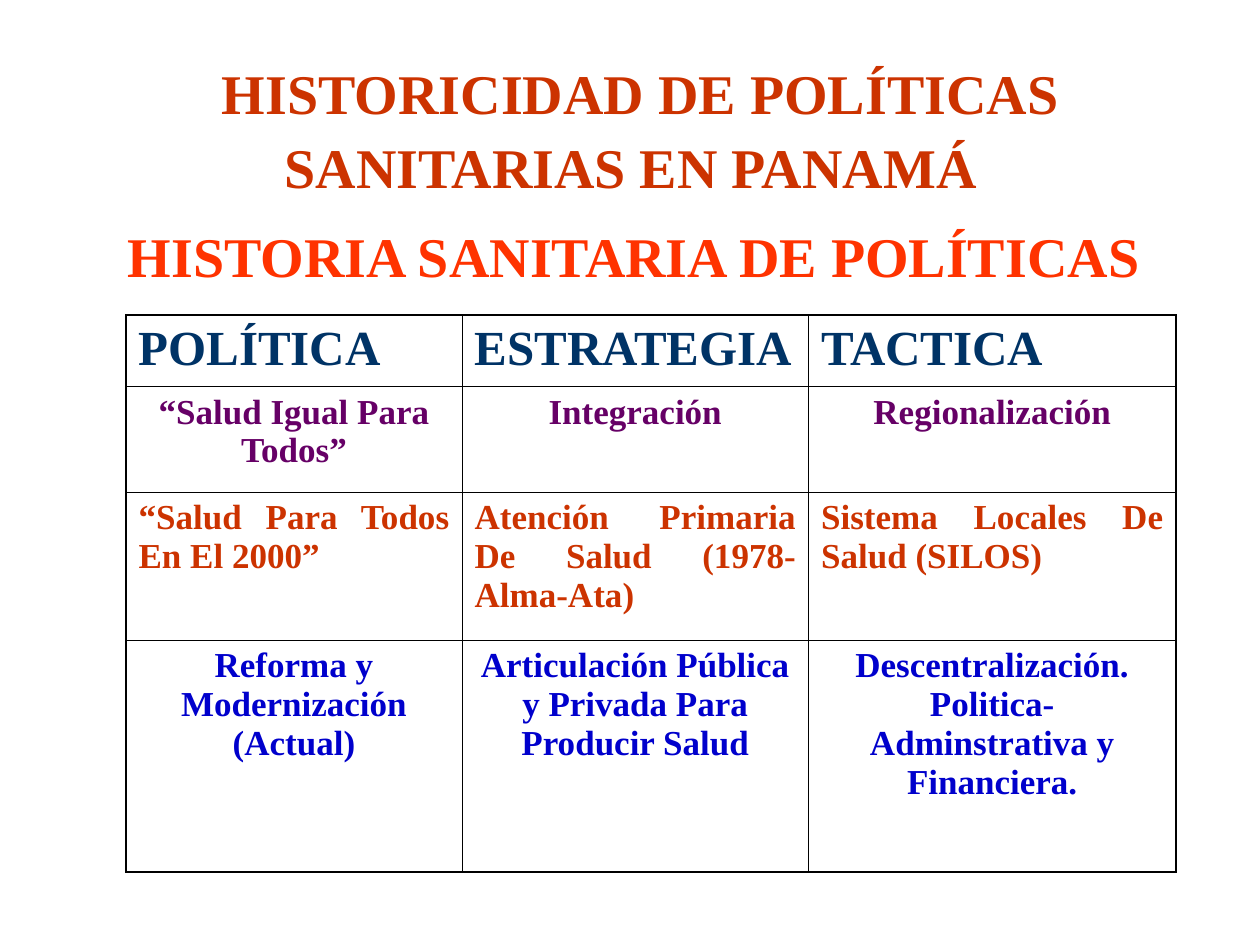
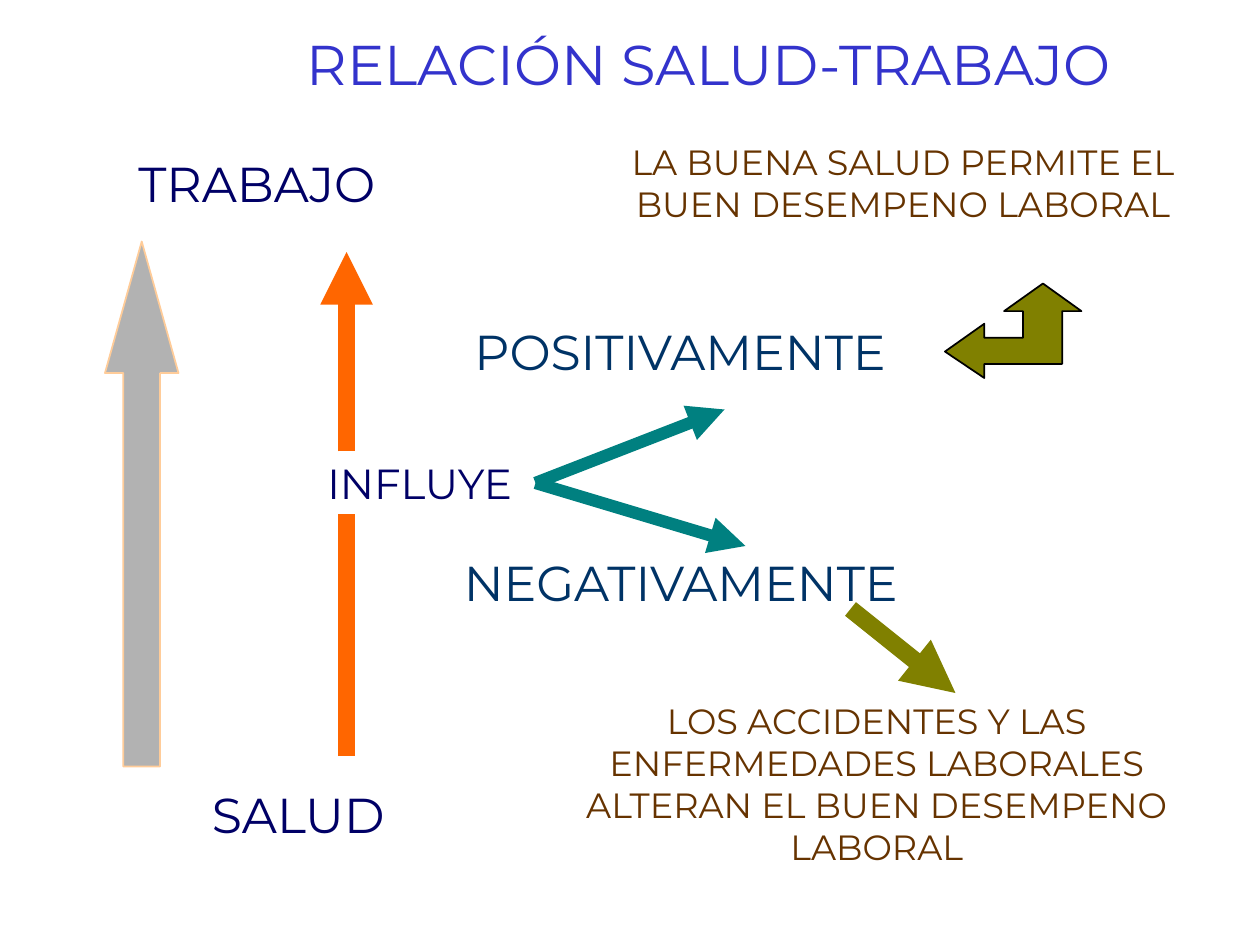
from lxml.etree import SubElement
from pptx import Presentation
from pptx.dml.color import RGBColor
from pptx.enum.shapes import MSO_CONNECTOR, MSO_SHAPE
from pptx.enum.text import MSO_ANCHOR as Anchor, PP_ALIGN as Align
from pptx.oxml.ns import qn
from pptx.util import Pt

SERIF, SANS = "Times New Roman", "Montserrat"
RUST, NAVY, TEAL_BLUE, BROWN = "CC3300", "000066", "003366", "663300"
ORANGE, TEAL, OLIVE, BLACK = "FF6600", "008080", "808000", "000000"
OUTER_BORDER, INNER_BORDER = 1.08, 0.45


def color(value):
    return RGBColor.from_string(value)


class SlideBuilder:
    """Holds the deck, the current slide and the style of its text."""

    def __init__(self):
        self.deck = Presentation()
        self.deck.slide_width, self.deck.slide_height = Pt(720), Pt(540)

    def new_slide(self, font, bold):
        self.font, self.bold = font, bold
        self.shapes = self.deck.slides.add_slide(self.deck.slide_layouts[6]).shapes

    def run(self, para, words, size, tint):
        span = para.add_run()
        span.text = words
        span.font.name, span.font.size, span.font.bold = self.font, Pt(size), self.bold
        span.font.color.rgb = color(tint)

    def text(self, words, left, top, width, height, size, tint,
             align=Align.LEFT, anchor=Anchor.TOP):
        box = self.shapes.add_textbox(Pt(left), Pt(top), Pt(width), Pt(height))
        frame = box.text_frame
        frame.word_wrap, frame.vertical_anchor = True, anchor
        para = frame.paragraphs[0]
        para.alignment = align
        self.run(para, words, size, tint)
        return para

    def title(self, words, left, top, width, height, tint):
        return self.text(words, left, top, width, height, 32, tint,
                         Align.CENTER, Anchor.MIDDLE)

    def line(self, start, end, tint, width, arrow=True):
        line = self.shapes.add_connector(MSO_CONNECTOR.STRAIGHT, *map(Pt, start + end))
        line.line.color.rgb, line.line.width = color(tint), Pt(width)
        properties = line._element.spPr
        if arrow:
            SubElement(properties.find(qn("a:ln")), qn("a:tailEnd"), type="triangle")
        SubElement(properties, qn("a:effectLst"))

    def paint(self, shape, fill, outline):
        shape.shadow.inherit = False
        shape.fill.solid()
        shape.fill.fore_color.rgb = color(fill)
        shape.line.color.rgb, shape.line.width = color(outline), Pt(1)

    def up_arrow(self, left, top, width, height, head, fill, outline):
        arrow = self.shapes.add_shape(MSO_SHAPE.UP_ARROW, Pt(left), Pt(top), Pt(width), Pt(height))
        arrow.adjustments[1] = head
        self.paint(arrow, fill, outline)

    def outline(self, points, fill, edge):
        corners = [(Pt(x), Pt(y)) for x, y in points]
        builder = self.shapes.build_freeform(*corners[0])
        builder.add_line_segments(corners[1:], close=True)
        self.paint(builder.convert_to_shape(), fill, edge)

    def border(self, cell, side, width):
        edge = SubElement(cell._tc.get_or_add_tcPr(), qn(f"a:ln{side}"), w=str(Pt(width)))
        SubElement(SubElement(edge, qn("a:solidFill")), qn("a:srgbClr"), val=BLACK)

    def table(self, left, top, widths, heights, rows):
        """Each row is (size, colour, alignment, words of its cells)."""
        table = self.shapes.add_table(len(heights), len(widths), Pt(left), Pt(top),
                                      Pt(sum(widths)), Pt(sum(heights))).table
        table.first_row = table.horz_banding = False
        for column, width in zip(table.columns, widths):
            column.width = Pt(width)
        for r, (height, (size, tint, align, cells)) in enumerate(zip(heights, rows)):
            table.rows[r].height = Pt(height)
            for c, words in enumerate(cells):
                cell = table.cell(r, c)
                on_edge = {"L": c == 0, "R": c == len(widths) - 1,
                           "T": r == 0, "B": r == len(heights) - 1}
                for side, outer in on_edge.items():
                    self.border(cell, side, OUTER_BORDER if outer else INNER_BORDER)
                cell.fill.background()
                para = cell.text_frame.paragraphs[0]
                para.alignment = align
                self.run(para, words, size, tint)


def policy_history(page):
    page.new_slide(SERIF, bold=True)
    heading = page.title("HISTORICIDAD DE POLÍTICAS SANITARIAS EN PANAMÁ", 60, 42, 612, 72, RUST)
    heading.line_spacing = 0.85
    page.run(heading, " ", 44, BLACK)
    page.text("HISTORIA SANITARIA DE POLÍTICAS", 66, 123, 612, 45, 32, "FF3300")
    page.table(72, 180, [192, 198, 210], [40.75, 60.5, 84.5, 132.5], [
        (28, TEAL_BLUE, Align.LEFT, ["POLÍTICA", "ESTRATEGIA", "TACTICA"]),
        (20, "660066", Align.CENTER,
         ["“Salud Igual Para Todos”", "Integración", "Regionalización"]),
        (20, RUST, Align.JUSTIFY,
         ["“Salud Para Todos En El 2000”", "Atención Primaria De Salud (1978-Alma-Ata)",
          "Sistema Locales De Salud (SILOS)"]),
        (20, "0000CC", Align.CENTER,
         ["Reforma y Modernización (Actual)",
          "Articulación Pública y Privada Para Producir Salud",
          "Descentralización. Politica-Adminstrativa y Financiera."]),
    ])


def health_and_work(page):
    page.new_slide(SANS, bold=False)
    page.title("RELACIÓN SALUD-TRABAJO", 108, 12, 594, 48, "3333CC")
    for words, left, top, width, size, tint in [
        ("SALUD", 114, 445, 138, 28, NAVY),
        ("TRABAJO", 72, 84, 174, 28, NAVY),
        ("INFLUYE", 180, 258, 144, 24, NAVY),
        ("POSITIVAMENTE", 264, 180, 276, 28, TEAL_BLUE),
        ("NEGATIVAMENTE", 258, 312, 300, 28, TEAL_BLUE),
    ]:
        page.text(words, left, top, width, 41, size, tint)
    page.line((486, 348), (546, 396), OLIVE, 10)
    page.text("LOS ACCIDENTES Y LAS ENFERMEDADES LABORALES ALTERAN EL BUEN DESEMPENO LABORAL",
              294, 396, 414, 79, 20, BROWN, Align.CENTER)
    page.text("LA BUENA SALUD PERMITE EL BUEN DESEMPENO LABORAL",
              324, 77, 384, 55, 20, BROWN, Align.CENTER)

    page.line((198, 432), (198, 294), ORANGE, 10, arrow=False)
    page.line((198, 258), (198, 144), ORANGE, 10)
    fork = (306, 276)
    for end in [(414, 234), (426, 312)]:
        page.line(fork, end, TEAL, 7)
    page.up_arrow(60, 138, 42, 300, 1.79, "B2B2B2", "FFCC99")
    page.outline([(540, 200.9), (562.5, 185), (562.5, 193), (584.6, 193), (584.6, 177.8),
                  (573.8, 177.8), (596, 162), (618, 177.8), (607, 177.8), (607, 208),
                  (562.5, 208), (562.5, 216)], OLIVE, BLACK)


def main():
    page = SlideBuilder()
    policy_history(page)
    health_and_work(page)
    page.deck.save("out.pptx")


if __name__ == "__main__":
    main()
